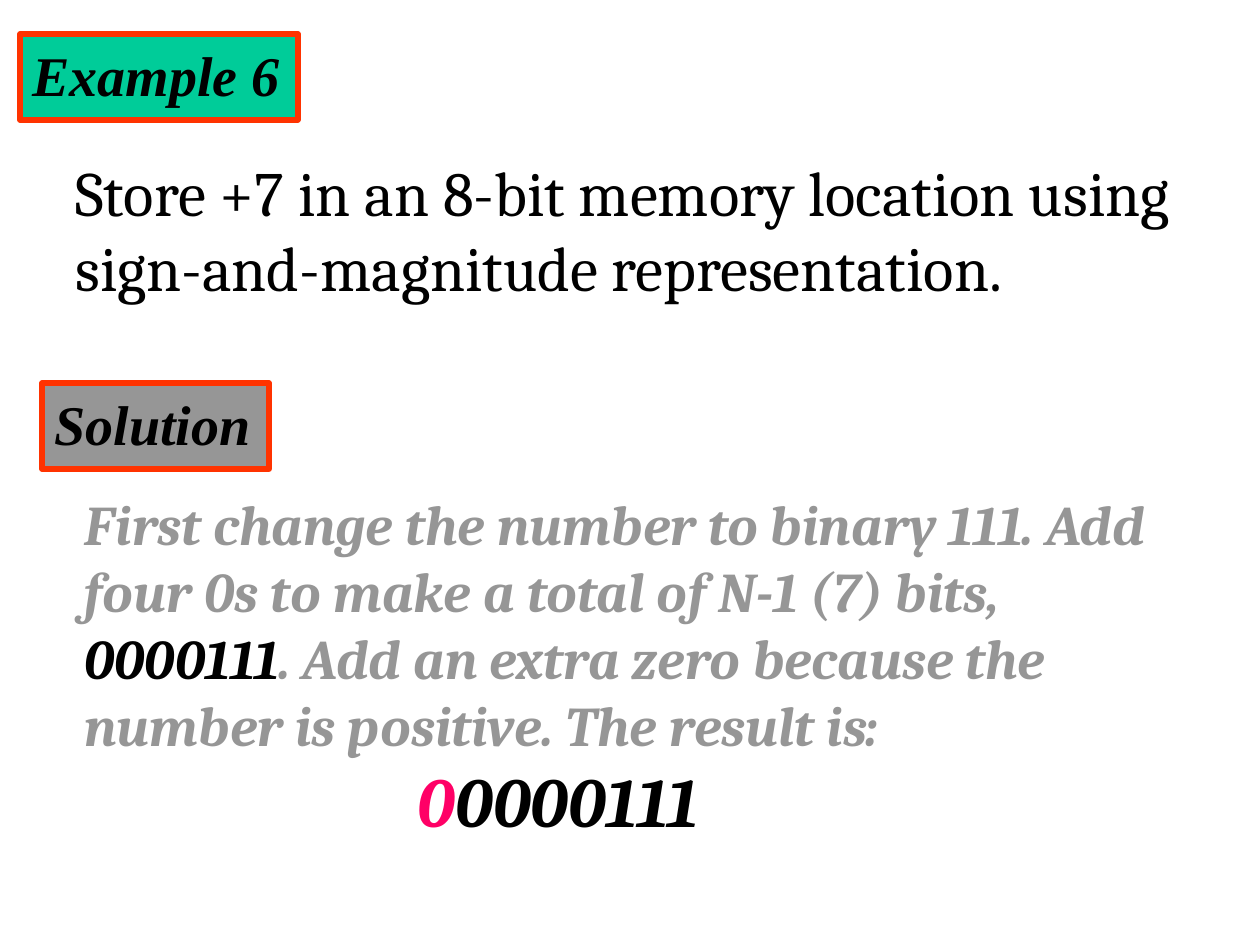
from pptx import Presentation
from pptx import util as u
from pptx.dml.color import RGBColor
from pptx.enum import shapes, text

PX = 914400 // 126  # one px in EMU
COLORS = {
    "black": "000000",
    "gray": "969696",
    "green": "00CC99",
    "orange": "FF3300",
    "pink": "FF0066",
}


def color(name):
    return RGBColor.from_string(COLORS[name])


def px(*lengths):
    return [length * PX for length in lengths]


def add_span(para, words, size, font="Cambria", ink="black", strong=True):
    span = para.add_run()
    span.text = words
    span.font.name = font
    span.font.size = u.Pt(size)
    span.font.bold = span.font.italic = strong
    span.font.color.rgb = color(ink)


def add_label(page, words, area, fill):
    box = page.shapes.add_shape(shapes.MSO_SHAPE.RECTANGLE, *px(*area))
    box.shadow.inherit = False
    box.fill.solid()
    box.fill.fore_color.rgb = color(fill)
    box.line.color.rgb = color("orange")
    box.line.width = u.Pt(3)
    frame = box.text_frame
    frame.word_wrap = False
    frame.vertical_anchor = text.MSO_ANCHOR.TOP
    para = frame.paragraphs[0]
    para.alignment = text.PP_ALIGN.LEFT
    add_span(para, words, 32, font="Times New Roman")


def add_text_area(page, area):
    frame = page.shapes.add_textbox(*px(*area)).text_frame
    frame.word_wrap = True
    return frame


def main():
    deck = Presentation()
    deck.slide_width, deck.slide_height = px(1260, 945)
    page = deck.slides.add_slide(deck.slide_layouts[6])

    # Example and its question
    add_label(page, "Example 6", (20, 34, 278, 86), "green")
    question = add_text_area(page, (63, 147, 1166, 164))
    add_span(question.paragraphs[0],
             "Store +7 in an 8-bit memory location using "
             "sign-and-magnitude representation.", 36, strong=False)

    # Solution and its steps
    add_label(page, "Solution", (42, 383, 227, 86), "gray")
    solution = add_text_area(page, (72, 483, 1155, 365))
    steps = solution.paragraphs[0]
    add_span(steps, "First change the number to binary 111. Add four 0s "
                    "to make a total of N-1 (7) bits, ", 32, ink="gray")
    add_span(steps, "0000111", 32)
    add_span(steps, ". Add an extra zero because the number is positive. "
                    "The result is:", 32, ink="gray")

    # Result, indented below the steps
    result = solution.add_paragraph()
    result._p.get_or_add_pPr().set("marL", str(333 * PX))
    add_span(result, "0", 40, ink="pink")
    add_span(result, "0000111", 40)

    deck.save("out.pptx")


if __name__ == "__main__":
    main()
